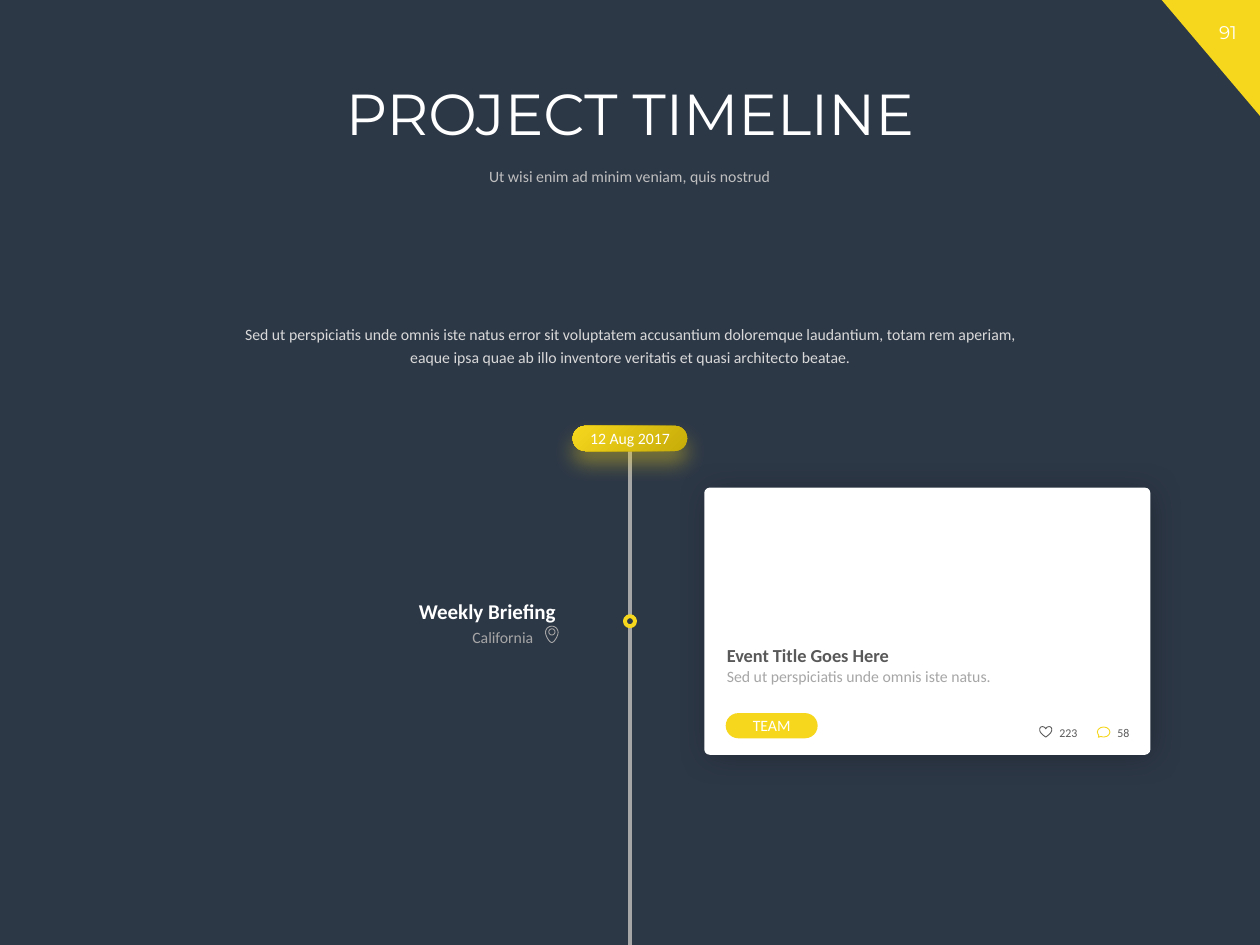
from lxml import etree
from pptx import Presentation
from pptx.dml.color import RGBColor
from pptx.enum.shapes import MSO_CONNECTOR, MSO_SHAPE
from pptx.enum.text import MSO_ANCHOR, PP_ALIGN
from pptx.oxml.ns import qn
from pptx.util import Inches, Pt

STRAIGHT = MSO_CONNECTOR.STRAIGHT
ROUNDED = MSO_SHAPE.ROUNDED_RECTANGLE
CORNER = MSO_SHAPE.RIGHT_TRIANGLE
OVAL = MSO_SHAPE.OVAL
BUBBLE = MSO_SHAPE.OVAL_CALLOUT
LEFT, CENTER, RIGHT = PP_ALIGN.LEFT, PP_ALIGN.CENTER, PP_ALIGN.RIGHT
TOP, MIDDLE = MSO_ANCHOR.TOP, MSO_ANCHOR.MIDDLE

NAVY, YELLOW, GOLD, WHITE = "2D3847", "F6D71E", "C7AC08", "FFFFFF"
BODY, SUBTLE, MUTED, DARK = "D9D9D9", "BFBFBF", "A6A6A6", "595959"
COLUMNS, ROWS, CURVE_STEPS = 100, 75, 8
AXIS = COLUMNS / 2


def rgb(value):
    return RGBColor.from_string(value)


def add_alpha(color, percent):
    etree.SubElement(color, qn("a:alpha"), val=str(percent * 1000))


def curve_points(start, controls):
    points = [start]
    for first, second, end in controls:
        begin = points[-1]
        for step in range(1, CURVE_STEPS + 1):
            t = step / CURVE_STEPS
            points.append(tuple(
                a * (1 - t) ** 3 + 3 * b * t * (1 - t) ** 2
                + 3 * c * t ** 2 * (1 - t) + d * t ** 3
                for a, b, c, d in zip(begin, first, second, end)))
    return points


class TimelineSlide:
    heading_font = "Montserrat"
    body_font = "Calibri"

    def __init__(self, deck):
        self.slide = deck.slides.add_slide(deck.slide_layouts[6])
        self.shapes = self.slide.shapes
        self.column = deck.slide_width / COLUMNS
        self.row = deck.slide_height / ROWS
        background = self.slide.background.fill
        background.solid()
        background.fore_color.rgb = rgb(NAVY)

    def place(self, x, y):
        return round(x * self.column), round(y * self.row)

    def box(self, x, y, width, height):
        return self.place(x, y) + self.place(width, height)

    def set_words(self, frame, words, size, color, align, anchor=TOP,
                  font=body_font, bold=False, spacing=None):
        frame.text = words
        frame.vertical_anchor = anchor
        paragraph = frame.paragraphs[0]
        paragraph.alignment = align
        if spacing:
            paragraph.line_spacing = spacing
        for run in paragraph.runs:
            run.font.name = font
            run.font.size = Pt(size)
            run.font.bold = bold
            run.font.color.rgb = rgb(color)

    def text(self, area, words, size, color, align=LEFT, **style):
        frame = self.shapes.add_textbox(*self.box(*area)).text_frame
        frame.word_wrap = True
        self.set_words(frame, words, size, color, align, **style)

    def paint(self, shape, fill=None, line=None, weight=0.5):
        shape.shadow.inherit = False
        if fill:
            shape.fill.solid()
            shape.fill.fore_color.rgb = rgb(fill)
        else:
            shape.fill.background()
        if line:
            shape.line.color.rgb = rgb(line)
            shape.line.width = Pt(weight)
        else:
            shape.line.fill.background()

    def shape(self, kind, area, fill=None, adjust=(), **outline):
        shape = self.shapes.add_shape(kind, *self.box(*area))
        for index, value in enumerate(adjust):
            shape.adjustments[index] = value
        self.paint(shape, fill, **outline)
        return shape

    def pill(self, area, fill, words=""):
        pill = self.shape(ROUNDED, area, fill, [0.5])
        if words:
            frame = pill.text_frame
            frame.margin_left = frame.margin_right = 0
            frame.margin_top = frame.margin_bottom = 0
            frame.word_wrap = False
            self.set_words(frame, words, 9, WHITE, CENTER, MIDDLE)
        return pill

    def shadow(self, shape, color, opacity, blur, distance, angle):
        effects = shape._element.spPr.find(qn("a:effectLst"))
        outer = etree.SubElement(
            effects, qn("a:outerShdw"), blurRad=str(Pt(blur)),
            dist=str(Pt(distance)), dir=str(angle * 60000), rotWithShape="0")
        add_alpha(etree.SubElement(outer, qn("a:srgbClr"), val=color), opacity)

    def glow_fill(self, shape, *colors):
        shape.fill.gradient()
        for stop, color in zip(shape.fill.gradient_stops, colors):
            stop.color.rgb = rgb(color)
        gradient = shape._element.spPr.find(qn("a:gradFill"))
        gradient.remove(gradient.find(qn("a:lin")))
        circle = etree.SubElement(gradient, qn("a:path"), path="circle")
        etree.SubElement(circle, qn("a:fillToRect"), r="100000", b="100000")

    def fade(self, shape, opacity):
        fill = shape._element.spPr.find(qn("a:solidFill"))
        add_alpha(fill.find(qn("a:srgbClr")), opacity)

    def mirrored_icon(self, x, y, color, start, controls):
        half = curve_points(start, controls)
        outline = half + [(-dx, dy) for dx, dy in reversed(half)]
        points = [self.place(x + dx, y + dy) for dx, dy in outline]
        builder = self.shapes.build_freeform(*points[0], scale=1.0)
        builder.add_line_segments(points[1:], close=True)
        self.paint(builder.convert_to_shape(), line=color)

    def line(self, start, end, color, weight):
        line = self.shapes.add_connector(
            STRAIGHT, *self.place(*start), *self.place(*end))
        line.line.color.rgb = rgb(color)
        line.line.width = Pt(weight)
        etree.SubElement(line._element.spPr, qn("a:effectLst"))
        return line


def main():
    deck = Presentation()
    deck.slide_width, deck.slide_height = Inches(10), Inches(7.5)
    page = TimelineSlide(deck)
    heading = page.heading_font

    page.shape(CORNER, (92.2, 0, 7.8, 9.2), YELLOW).rotation = 180
    page.text((94.9, 1.2, 5.1, 2.8), "91", 10.5, WHITE, CENTER, font=heading)

    card = page.shape(ROUNDED, (55.9, 38.7, 35.4, 21.2), WHITE, [0.02])
    page.shadow(card, "000000", 24, 18, 2, 45)

    page.text((5.7, 6.3, 88.6, 7.3), "PROJECT TIMELINE", 33, WHITE, CENTER,
              font=heading, spacing=0.9)
    page.text((13.9, 12.8, 72.1, 2.6),
              "Ut wisi enim ad minim veniam, quis nostrud", 9, SUBTLE, CENTER,
              anchor=MIDDLE, spacing=0.9)

    page.text((56.7, 50.6, 33.8, 2.8), "Event Title Goes Here", 10.5, DARK,
              bold=True)
    page.text((56.7, 52.4, 33.8, 2.5),
              "Sed ut perspiciatis unde omnis iste natus.", 9, MUTED)
    page.pill((57.6, 56.6, 7.3, 2), YELLOW, "TEAM")

    page.mirrored_icon(83, 58.1, DARK, (0, 0.4), [
        ((-0.35, 0.15), (-0.48, 0), (-0.48, -0.2)),
        ((-0.48, -0.5), (-0.1, -0.5), (0, -0.25))])
    page.shape(BUBBLE, (87.1, 57.7, 1, 0.8), adjust=[-0.42, 0.52], line=YELLOW)
    for x, count in ((83.1, "223"), (87.7, "58")):
        page.text((x, 57.1, 3.6, 2.1), count, 6.8, DARK)

    timeline = page.line((AXIS, 35.8), (AXIS, ROWS), MUTED, 2.25)

    page.text((24.7, 47, 20.4, 3), "Weekly Briefing", 12, WHITE, RIGHT,
              bold=True)
    page.text((25, 49.3, 18.3, 2.5), "California", 9, MUTED, RIGHT)
    page.mirrored_icon(43.8, 50.35, MUTED, (0, -0.65), [
        ((-0.28, -0.65), (-0.5, -0.42), (-0.5, -0.15)),
        ((-0.5, 0.1), (-0.2, 0.65), (0, 0.65))])
    page.shape(OVAL, (43.55, 49.9, 0.5, 0.5), line=MUTED)

    page.shape(OVAL, (AXIS - 0.4, 48.9, 0.8, 0.8), NAVY,
               line=YELLOW, weight=2.25)
    page.fade(page.pill((84.8, 39.6, 5.6, 1.3), WHITE), 24)

    date = page.pill((AXIS - 4.55, 33.8, 9.1, 2), YELLOW, "12 Aug 2017")
    page.glow_fill(date, YELLOW, GOLD)
    page.shadow(date, YELLOW, 40, 12, 7, 90)
    timeline.begin_connect(date, 2)

    page.text((18.1, 25, 63.8, 4.6),
              "Sed ut perspiciatis unde omnis iste natus error sit voluptatem "
              "accusantium doloremque laudantium, totam rem aperiam, eaque ipsa "
              "quae ab illo inventore veritatis et quasi architecto beatae.",
              9, BODY, CENTER, spacing=1.2)

    deck.save("out.pptx")


if __name__ == "__main__":
    main()
